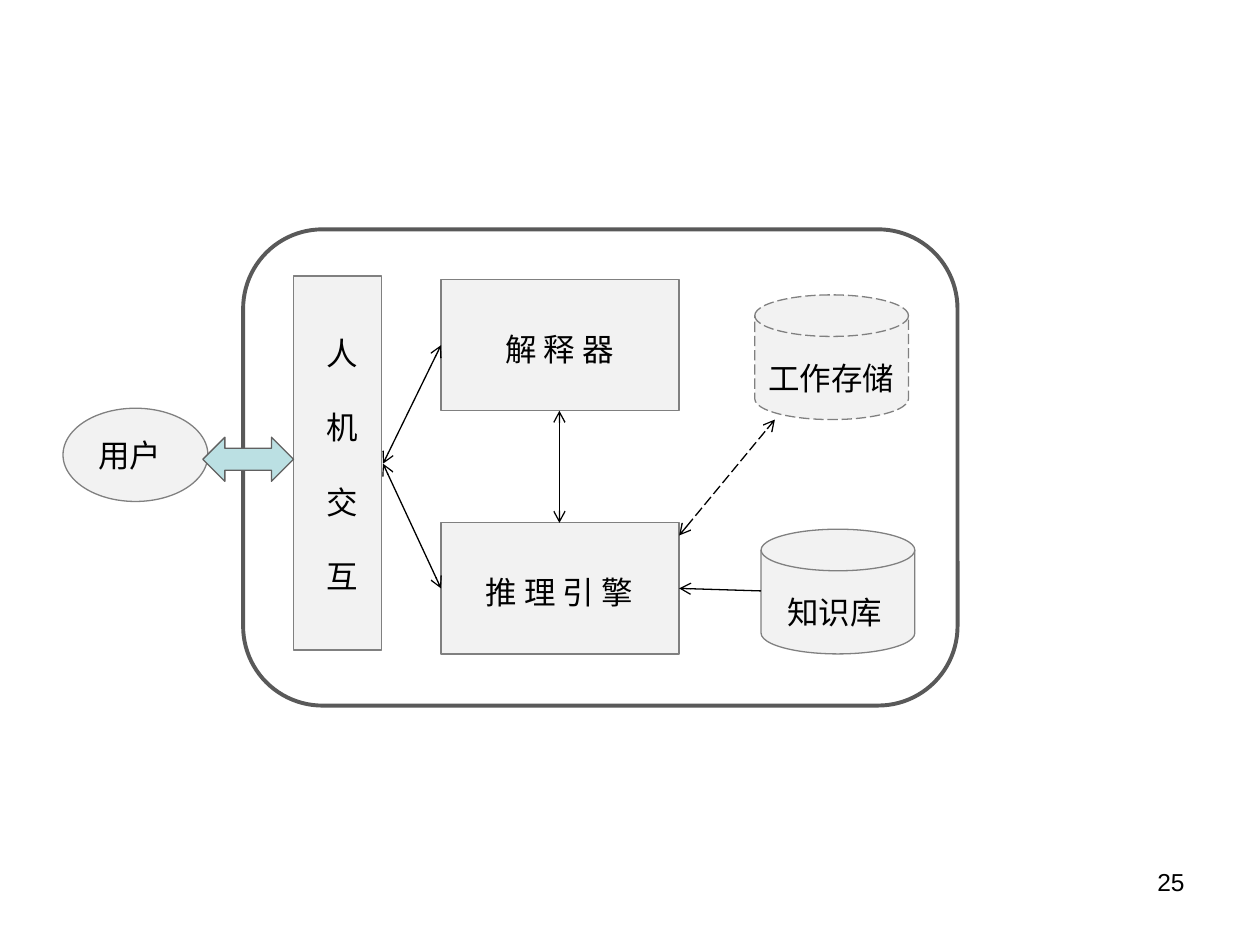
import pptx
import pptx.dml.color
import pptx.enum.dml
import pptx.enum.shapes
import pptx.enum.text
import pptx.oxml
import pptx.oxml.ns
import pptx.util

PX = 9144  # EMU per px, 100 px to the inch
SHAPE = pptx.enum.shapes.MSO_SHAPE
ALIGN = pptx.enum.text.PP_ALIGN
LONG_DASH = pptx.enum.dml.MSO_LINE.LONG_DASH
PALE, GREY, BLACK = "F2F2F2", "808080", "000000"


def px(*lengths):
    return [pptx.util.Emu(length * PX) for length in lengths]


def color(value):
    return pptx.dml.color.RGBColor.from_string(value)


def style_line(line, value, width=0.75, dash=None):
    line.color.rgb = color(value)
    line.width = pptx.util.Pt(width)
    if dash:
        line.dash_style = dash


def add_shape(page, kind, box, fill=PALE, line=GREY, width=0.75, dash=None):
    shape = page.shapes.add_shape(kind, *px(*box))
    shape.shadow.inherit = False
    if fill:
        shape.fill.solid()
        shape.fill.fore_color.rgb = color(fill)
    else:
        shape.fill.background()
    style_line(shape.line, line, width, dash)
    return shape


def add_label(page, text, box, size=18, align=ALIGN.LEFT, gap=0):
    frame = page.shapes.add_textbox(*px(*box)).text_frame
    frame.word_wrap = True
    frame.text = text
    for para in frame.paragraphs:
        para.alignment = align
        para.space_after = pptx.util.Pt(gap)
        for span in para.runs:
            span.font.size = pptx.util.Pt(size)
            span.font.name = "Arial"
            span.font.color.rgb = color(BLACK)


def add_arrow(page, start, end, both=True, dash=None):
    arrow = page.shapes.add_connector(
        pptx.enum.shapes.MSO_CONNECTOR.STRAIGHT, *px(*start, *end))
    style_line(arrow.line, BLACK, dash=dash)
    properties = arrow.line._get_or_add_ln()
    for tag in ["a:headEnd", "a:tailEnd"] if both else ["a:tailEnd"]:
        tip = pptx.oxml.ns.qn(tag)
        properties.append(properties.makeelement(tip, {"type": "arrow"}))
    effects = pptx.oxml.ns.qn("a:effectLst")
    properties.getparent().append(properties.makeelement(effects, {}))


def add_user(page, box):
    left, top, width, height = box
    add_shape(page, SHAPE.OVAL, box)
    add_label(page, "用户", (left + 18, top + 17, 79, 40))
    add_shape(page, SHAPE.LEFT_RIGHT_ARROW,
              (left + width - 4, top + 23, 72, 35), "BBE0E3", "606060")


def add_interface(page, box):
    left, top, width, height = box
    add_shape(page, SHAPE.RECTANGLE, box)
    add_label(page, "\n".join("人机交互"), (left + 16, top + 41, 55, 222), gap=21)


def add_module(page, text, box):
    left, top, width, height = box
    add_shape(page, SHAPE.RECTANGLE, box)
    add_label(page, text, (left + 15, top + 35, 158, 40), align=ALIGN.CENTER)


def add_store(page, text, box, indent, dash=None):
    left, top, width, height = box
    add_shape(page, SHAPE.FLOWCHART_MAGNETIC_DISK, box, dash=dash)
    add_label(page, text, (left + indent, top + 46, 129, 40))


def add_system(page, box):
    left, top, width, height = box
    frame = add_shape(page, SHAPE.ROUNDED_RECTANGLE, box, None, "595959", 2.25)
    frame.adjustments[0] = 0.1667

    # Parts
    port = left + 111
    module_left, module_right = left + 157, left + 346
    explainer_top, engine_top, module_height = top + 40, top + 233, 104
    explainer_middle = explainer_top + module_height // 2
    engine_middle = engine_top + module_height // 2
    add_interface(page, (left + 40, top + 37, 70, 297))
    for text, module_top in [("解 释 器", explainer_top), ("推 理 引 擎", engine_top)]:
        add_module(page, text, (module_left, module_top, 189, module_height))
    add_store(page, "工作存储", (left + 406, top + 52, 122, 99), 1, LONG_DASH)
    add_store(page, "知识库", (left + 411, top + 238, 122, 99), 11)

    # Links
    for middle in (explainer_middle, engine_middle):
        add_arrow(page, (port, top + 186), (module_left, middle))
    center = (module_left + module_right) // 2
    add_arrow(page, (center, explainer_top + module_height), (center, engine_top))
    add_arrow(page, (module_right, engine_top + 10), (left + 422, top + 151),
              dash=LONG_DASH)
    add_arrow(page, (left + 411, top + 287), (module_right, engine_middle), both=False)


def main():
    deck = pptx.Presentation()
    deck.slide_width, deck.slide_height = px(1000, 750)
    page = deck.slides.add_slide(deck.slide_layouts[6])
    add_system(page, (193, 182, 567, 378))
    add_user(page, (50, 324, 115, 74))
    # Page number
    add_label(page, "25", (717, 683, 233, 52), size=14, align=ALIGN.RIGHT)
    deck.save("out.pptx")


if __name__ == "__main__":
    main()
